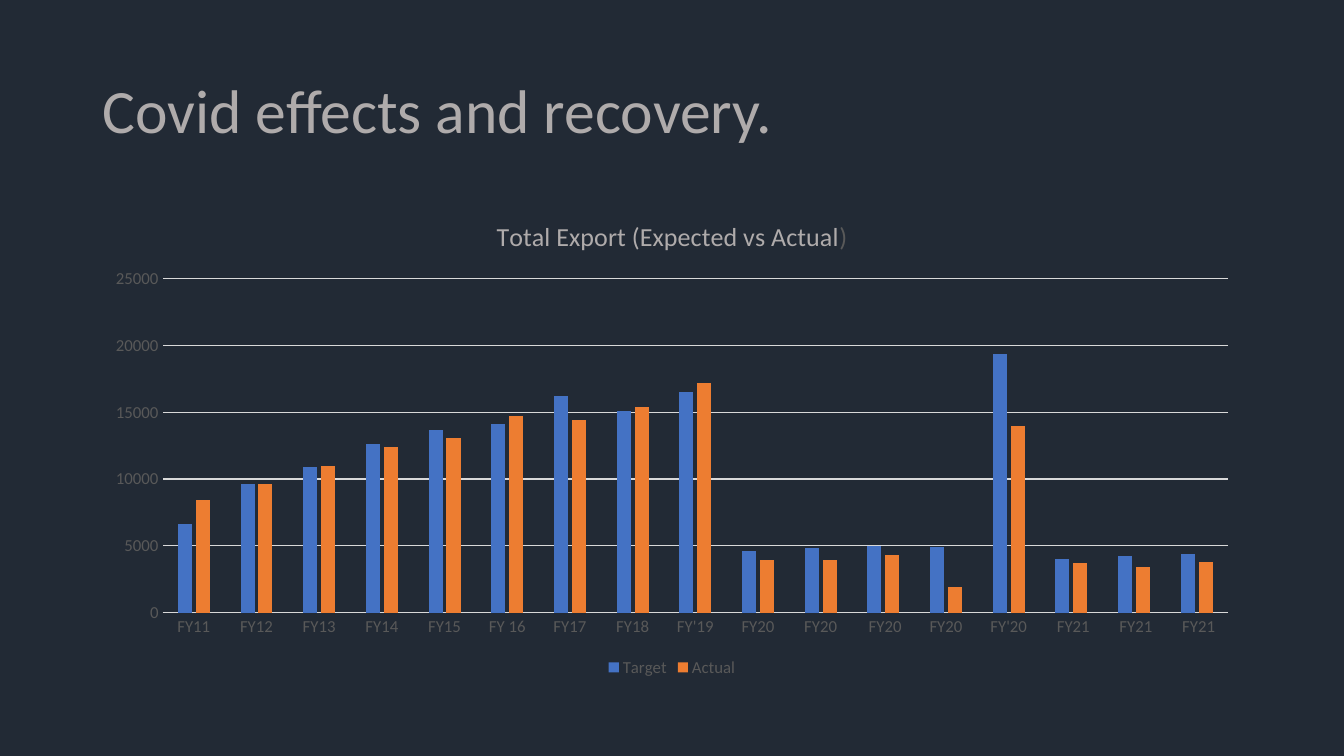
"""Build a slide comparing target and actual exports by fiscal year."""
from pptx import Presentation
from pptx import util as u
from pptx.chart.data import CategoryChartData
from pptx.dml.color import RGBColor
from pptx.enum import chart as charts, text

FONT = "Calibri"
BACKGROUND, LIGHT, GREY, LINE = "222A35", "AFABAB", "595959", "D9D9D9"
HEADING = "Covid effects and recovery."
CHART_TITLE = [("Total Export (Expected vs Actual", LIGHT), (")", GREY)]
SERIES_COLORS = {"Target": "4472C4", "Actual": "ED7D31"}
EXPORTS = [
    ("FY11", 6600, 8400),
    ("FY12", 9600, 9600),
    ("FY13", 10900, 11000),
    ("FY14", 12600, 12400),
    ("FY15", 13700, 13100),
    ("FY 16", 14100, 14700),
    ("FY17", 16200, 14400),
    ("FY18", 15100, 15400),
    ("FY'19", 16500, 17200),
    ("FY20", 4600, 3900),
    ("FY20", 4800, 3900),
    (" FY20", 5000, 4300),
    ("FY20", 4900, 1900),
    ("FY'20", 19400, 14000),
    (" FY21", 4000, 3700),
    (" FY21", 4200, 3400),
    (" FY21", 4400, 3800),
]
WIDTH, HEIGHT = 13.33, 7.5
MARGIN = 0.92
CONTENT_WIDTH = WIDTH - 2 * MARGIN


def color(value):
    return RGBColor.from_string(value)


def style_font(font, size, value):
    font.name, font.size, font.bold = FONT, u.Pt(size), False
    font.color.rgb = color(value)


def style_line(line):
    line.color.rgb = color(LINE)
    line.width = u.Pt(0.75)


def content_box(top, height):
    return [u.Inches(length) for length in (MARGIN, top, CONTENT_WIDTH, height)]


def add_heading(slide):
    frame = slide.shapes.add_textbox(*content_box(0.4, 1.45)).text_frame
    frame.word_wrap = True
    frame.vertical_anchor = text.MSO_ANCHOR.MIDDLE
    paragraph = frame.paragraphs[0]
    paragraph.text = HEADING
    paragraph.line_spacing = 0.9
    style_font(paragraph.font, 44, LIGHT)


def add_export_chart(slide):
    years, *columns = zip(*EXPORTS)
    data = CategoryChartData()
    data.categories = years
    for name, values in zip(SERIES_COLORS, columns):
        data.add_series(name, values)
    chart = slide.shapes.add_chart(
        charts.XL_CHART_TYPE.COLUMN_CLUSTERED, *content_box(2, 4.76), data).chart
    style_font(chart.font, 12, GREY)

    chart.has_title = True
    paragraph = chart.chart_title.text_frame.paragraphs[0]
    for words, value in CHART_TITLE:
        run = paragraph.add_run()
        run.text = words
        style_font(run.font, 18.6, value)
    chart.chart_title.include_in_layout = False

    chart.has_legend = True
    chart.legend.position = charts.XL_LEGEND_POSITION.BOTTOM
    chart.legend.include_in_layout = False

    for axis in (chart.category_axis, chart.value_axis):
        axis.major_tick_mark = charts.XL_TICK_MARK.NONE
        style_font(axis.tick_labels.font, 12, GREY)
    style_line(chart.category_axis.format.line)
    chart.value_axis.format.line.fill.background()
    style_line(chart.value_axis.major_gridlines.format.line)

    plot = chart.plots[0]
    plot.vary_by_categories = False
    plot.gap_width, plot.overlap = 219, -27
    for series in plot.series:
        series.format.fill.solid()
        series.format.fill.fore_color.rgb = color(SERIES_COLORS[series.name])


def main():
    presentation = Presentation()
    presentation.slide_width = u.Inches(WIDTH)
    presentation.slide_height = u.Inches(HEIGHT)
    slide = presentation.slides.add_slide(presentation.slide_layouts[6])
    slide.background.fill.solid()
    slide.background.fill.fore_color.rgb = color(BACKGROUND)
    add_heading(slide)
    add_export_chart(slide)
    presentation.save("out.pptx")


if __name__ == "__main__":
    main()
